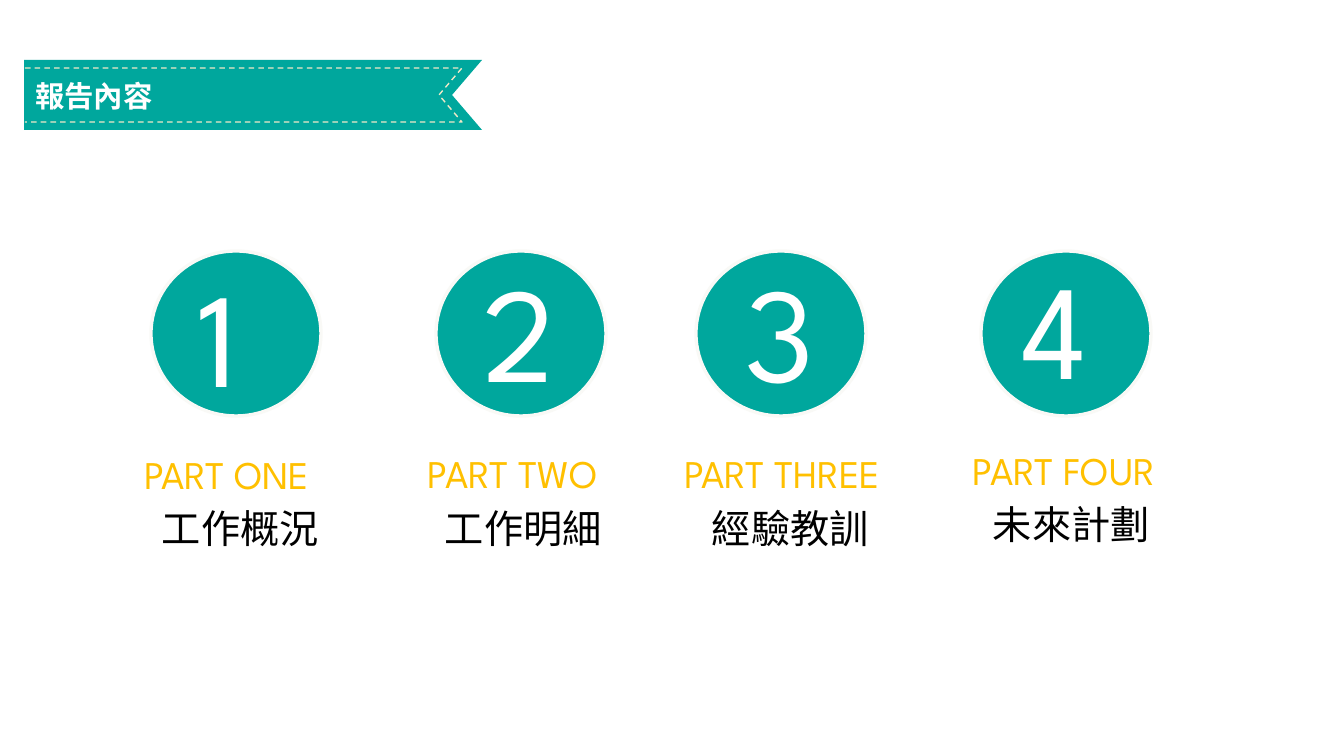
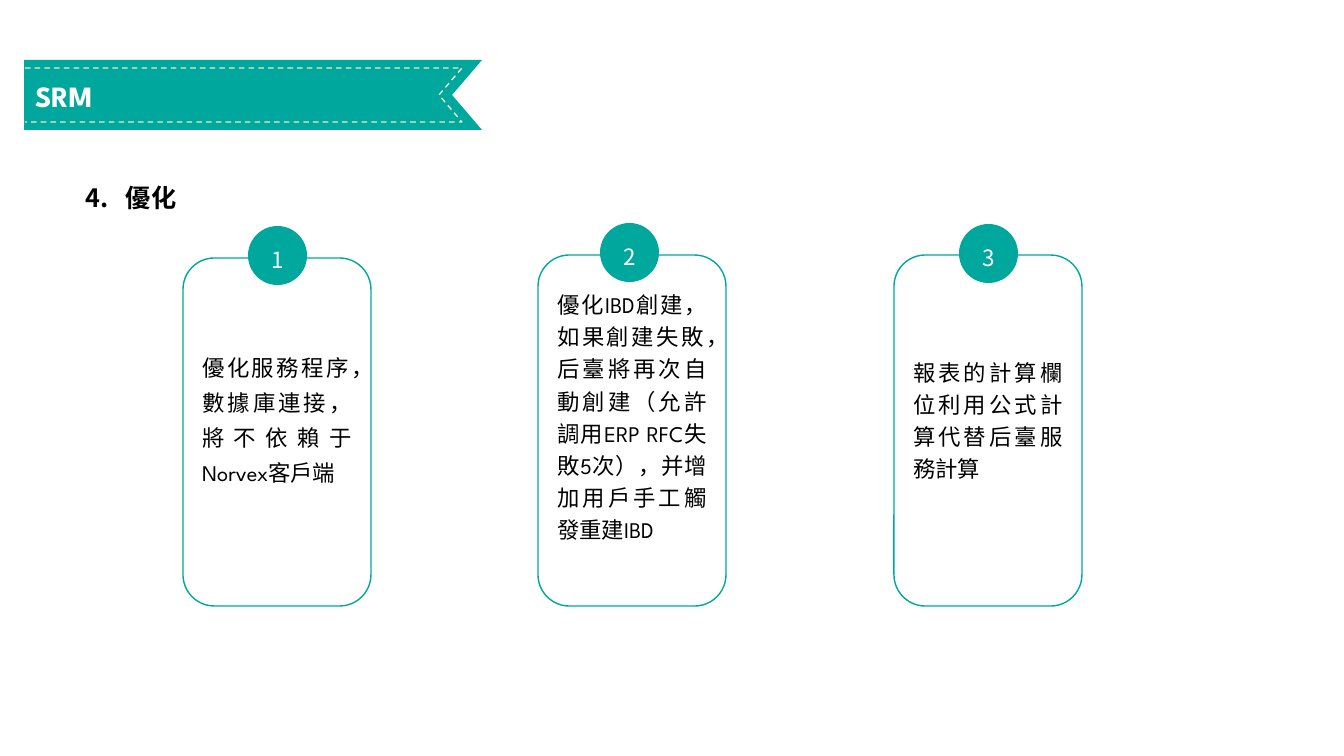
from dataclasses import dataclass

from lxml.etree import SubElement
from pptx import Presentation
from pptx.dml.color import RGBColor
from pptx.enum.dml import MSO_LINE
from pptx.enum.shapes import MSO_SHAPE as Shape
from pptx.enum.text import MSO_ANCHOR as Anchor, MSO_AUTO_SIZE as AutoSize, PP_ALIGN as Align
from pptx.oxml.ns import qn
from pptx.util import Pt

EMU_PER_PX = 914400 / 100.8


@dataclass(frozen=True)
class Theme:
    """Colours, fonts and type sizes of the deck."""
    teal: str = "00A79D"
    cream: str = "EDE8C7"
    rim: str = "F9F9F6"
    amber: str = "FFC000"
    black: str = "000000"
    white: str = "FFFFFF"
    font: str = "League Spartan"
    badge_font: str = "Noto Sans CJK SC"
    numeral: int = 96
    caption: int = 28
    title: int = 21
    heading: int = 18
    body: int = 16


THEME = Theme()


@dataclass(frozen=True)
class Part:
    """One agenda entry; offsets are measured from its circle."""
    left: int
    caption: str
    name: str
    numeral_at: tuple
    caption_at: tuple
    name_at: tuple


@dataclass(frozen=True)
class Card:
    """One improvement; the badge offset is measured from its card."""
    top: int
    text: str
    spacing: float
    bottom_inset: int
    badge_at: tuple


PARTS = (
    Part(151, "PART ONE", "工作概況", (37, 15), (-17, 200), (1, 254)),
    Part(436, "PART TWO", "工作明細", (37, 10), (-18, 199), (-1, 254)),
    Part(696, "PART THREE", "經驗教訓", (40, 10), (-22, 199), (6, 254)),
    Part(981, "PART FOUR", "未來計劃", (30, 7), (-18, 196), (2, 250)),
)
CARDS = (
    Card(258, "優化服務程序，數據庫連接，將不依賴于Norvex客戶端", 1.3, 37, (65, -32)),
    Card(255, "優化IBD創建，如果創建失敗，后臺將再次自動創建（允許調用ERP RFC失敗5次），"
              "并增加用戶手工觸發重建IBD", 1.2, 37, (62, -32)),
    Card(255, "報表的計算欄位利用公式計算代替后臺服務計算", 1.2, 30, (65, -31)),
)


def px(length):
    """Turn px into EMU."""
    return round(length * EMU_PER_PX)


def rgb(code):
    """Turn a hex code into a colour."""
    return RGBColor.from_string(code)


def write(frame, text, size, color=THEME.black, font=THEME.font, bold=False, align=Align.LEFT,
          spacing=None, anchor=Anchor.TOP, insets=(10, 5, 10, 5), number=None):
    """Fill a text frame with one formatted paragraph."""
    frame.word_wrap, frame.auto_size, frame.vertical_anchor = True, AutoSize.NONE, anchor
    frame.margin_left, frame.margin_top, frame.margin_right, frame.margin_bottom = map(px, insets)
    paragraph = frame.paragraphs[0]
    paragraph.alignment = align
    if spacing:
        paragraph.line_spacing = spacing
    if number:
        properties = paragraph._p.get_or_add_pPr()
        properties.set("marL", str(px(40)))
        properties.set("indent", str(-px(40)))
        SubElement(properties, qn("a:buFont"), typeface=font)
        SubElement(properties, qn("a:buAutoNum"), type="arabicPeriod", startAt=str(number))
    run = paragraph.add_run()
    run.text = text
    run.font.name, run.font.size, run.font.bold = font, Pt(size), bold
    run.font.color.rgb = rgb(color)


def paint(shape, fill=None, line=None, width=1):
    """Give a shape a flat fill and outline."""
    shape.shadow.inherit = False
    if fill:
        shape.fill.solid()
        shape.fill.fore_color.rgb = rgb(fill)
    else:
        shape.fill.background()
    if line:
        shape.line.color.rgb = rgb(line)
        shape.line.width = Pt(width)
    else:
        shape.line.fill.background()
    return shape


def add_label(slide, box, text, **style):
    """Place a text box."""
    write(slide.shapes.add_textbox(*map(px, box)).text_frame, text, **style)


def add_preset(slide, kind, box, **look):
    """Place a painted preset shape."""
    return paint(slide.shapes.add_shape(kind, *map(px, box)), **look)


def add_outline(slide, points, close, **look):
    """Place a painted freeform through the given points."""
    start, *rest = points
    builder = slide.shapes.build_freeform(*start, scale=EMU_PER_PX)
    builder.add_line_segments(rest, close=close)
    return paint(builder.convert_to_shape(), **look)


def add_ribbon(slide, left, top, width, height):
    """Draw the notched title ribbon with its stitching and move it to the layout."""
    right, bottom, middle = left + width, top + height, top + height // 2
    band = add_outline(slide, [(right, bottom), (left, bottom), (left, top), (right, top),
                               (right - 30, middle)], True, fill=THEME.teal)
    seam_left, seam_right, seam_top, seam_bottom = left + 1, right - 20, top + 8, bottom - 8
    stitching = add_outline(slide, [(seam_left, seam_top), (seam_right, seam_top),
                                    (seam_right - 23, middle), (seam_right, seam_bottom),
                                    (seam_left, seam_bottom)], False, line=THEME.cream)
    stitching.line.dash_style = MSO_LINE.DASH
    for piece in (band, stitching):
        slide.slide_layout.shapes.element.append(piece.element)


def prepare_layout(layout):
    """Keep only the title placeholder and set it on the ribbon."""
    for placeholder in list(layout.placeholders):
        if placeholder.placeholder_format.idx:
            placeholder.element.getparent().remove(placeholder.element)
    title = layout.placeholders[0]
    title.left, title.top, title.width, title.height = map(px, (25, 73, 446, 45))


def add_titled_slide(deck, layout, title):
    """Add a slide with its ribbon title."""
    slide = deck.slides.add_slide(layout)
    write(slide.shapes.title.text_frame, title, size=THEME.title, color=THEME.white, bold=True,
          anchor=Anchor.MIDDLE)
    return slide


def add_part(slide, number, part, top):
    """Draw a numbered circle with its caption and name."""
    add_preset(slide, Shape.OVAL, (part.left, top, 170, 165),
               fill=THEME.teal, line=THEME.rim, width=2.38)
    labels = (
        (str(number), part.numeral_at, (101, 129), THEME.numeral, THEME.white),
        (part.caption, part.caption_at, (233, 37), THEME.caption, THEME.amber),
        (part.name, part.name_at, (194, 37), THEME.caption, THEME.black),
    )
    for text, (dx, dy), extent, size, color in labels:
        add_label(slide, (part.left + dx, top + dy, *extent), text,
                  size=size, color=color, spacing=0.9)


def add_card(slide, number, card, left, bottom):
    """Draw a rounded card with its badge on the upper edge."""
    panel = add_preset(slide, Shape.ROUNDED_RECTANGLE, (left, card.top, 188, bottom - card.top),
                       fill=THEME.white, line=THEME.teal)
    write(panel.text_frame, card.text, size=THEME.body, align=Align.JUSTIFY, spacing=card.spacing,
          anchor=Anchor.MIDDLE, insets=(10, 5, 10, card.bottom_inset))
    dx, dy = card.badge_at
    badge = add_preset(slide, Shape.OVAL, (left + dx, card.top + dy, 59, 59), fill=THEME.teal)
    write(badge.text_frame, str(number), size=THEME.body, color=THEME.white, font=THEME.badge_font,
          align=Align.CENTER, spacing=1.3, anchor=Anchor.MIDDLE, insets=(0, 0, 0, 0))


def build_agenda(slide):
    """Lay out the four report parts."""
    for number, part in enumerate(PARTS, 1):
        add_part(slide, number, part, 251)


def build_improvements(slide):
    """Lay out the heading and the three improvement cards."""
    add_label(slide, (76, 171, 1208, 43), "優化", size=THEME.heading, bold=True,
              spacing=1.2, number=4)
    for index, card in enumerate(CARDS):
        add_card(slide, index + 1, card, 183 + index * 711 // 2, 606)


def main():
    """Build and save the deck."""
    deck = Presentation()
    deck.slide_width, deck.slide_height = px(1344), px(756)
    layout = deck.slide_layouts[5]
    prepare_layout(layout)
    agenda = add_titled_slide(deck, layout, "報告內容")
    add_ribbon(agenda, 24, 60, 458, 70)
    build_agenda(agenda)
    build_improvements(add_titled_slide(deck, layout, "SRM"))
    deck.save("out.pptx")


if __name__ == "__main__":
    main()
